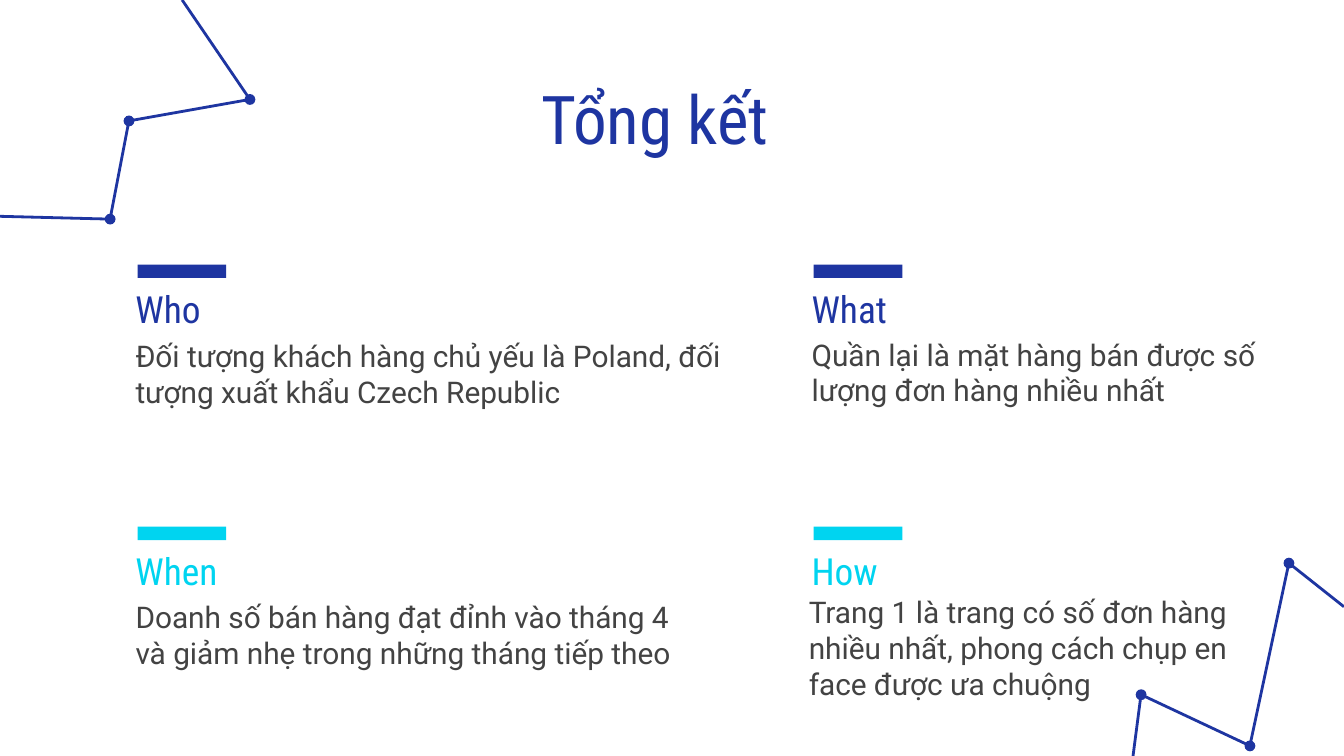
"""Build the "Tổng kết" summary slide with four topics and two line motifs."""
from dataclasses import dataclass

import pptx
import pptx.dml.color
import pptx.enum.shapes
import pptx.enum.text
import pptx.util

Pt = pptx.util.Pt
ALIGN = pptx.enum.text.PP_ALIGN
SHAPE = pptx.enum.shapes.MSO_SHAPE

NAVY = "1E35A1"
CYAN = "00D4F0"
GRAY = "434343"
HEADING_FONT = "Roboto Condensed"
BODY_FONT = "Roboto"
COLUMNS = (65.5, 427.7)
ROWS = (141.8, 282.2)
DOT_SIZE = 5.8


@dataclass
class Topic:
    column: int
    row: int
    color: str
    heading: str
    body: str
    body_left: float
    body_top: float
    body_width: float


TOPICS = (
    Topic(0, 0, NAVY, "Who",
          "Đối tượng khách hàng chủ yếu là Poland, đối tượng xuất khẩu Czech Republic",
          65.5, 178.6, 347),
    Topic(0, 1, CYAN, "When",
          "Doanh số bán hàng đạt đỉnh vào tháng 4 và giảm nhẹ trong những tháng tiếp theo",
          65.5, 318.2, 315.4),
    Topic(1, 0, NAVY, "What",
          "Quần lại là mặt hàng bán được số lượng đơn hàng nhiều nhất",
          427.7, 177.8, 260.6),
    Topic(1, 1, CYAN, "How",
          "Trang 1 là trang có số đơn hàng nhiều nhất, phong cách chụp en face được ưa chuộng",
          426.2, 325.4, 260.6),
)

MOTIFS = (
    ((0, 115.9), (59, 117.4), (69.1, 64.8), (133.9, 53.3), (97.6, 0)),
    ((607, 405), (611.3, 372.2), (669.6, 399.6), (690.5, 301.7), (720, 325.1)),
)


def rgb(color: str) -> pptx.dml.color.RGBColor:
    return pptx.dml.color.RGBColor.from_string(color)


def add_text(shapes, text: str, left: float, top: float, width: float, height: float,
             size: float, font: str, color: str, align=ALIGN.LEFT) -> None:
    box = shapes.add_textbox(Pt(left), Pt(top), Pt(width), Pt(height))
    frame = box.text_frame
    frame.word_wrap = True
    frame.vertical_anchor = pptx.enum.text.MSO_ANCHOR.MIDDLE
    frame.margin_left = frame.margin_right = Pt(7.2)
    frame.margin_top = frame.margin_bottom = Pt(7.2)
    frame.text = text
    para = frame.paragraphs[0]
    para.alignment = align
    span = para.runs[0]
    span.font.size = Pt(size)
    span.font.name = font
    span.font.color.rgb = rgb(color)


def add_solid(shapes, kind, left: float, top: float, width: float, height: float,
              color: str) -> None:
    shape = shapes.add_shape(kind, Pt(left), Pt(top), Pt(width), Pt(height))
    shape.shadow.inherit = False
    shape.fill.solid()
    shape.fill.fore_color.rgb = rgb(color)
    shape.line.fill.background()


def add_topic(page, topic: Topic) -> None:
    shapes = page.shapes.add_group_shape().shapes
    left, top = COLUMNS[topic.column], ROWS[topic.row]
    add_text(shapes, topic.heading, left, top + 13, 139.7, 20.9, 20, HEADING_FONT, topic.color)
    add_text(shapes, topic.body, topic.body_left, topic.body_top, topic.body_width, 43.2,
             16, BODY_FONT, GRAY)
    add_solid(shapes, SHAPE.RECTANGLE, left + 8.2, top, 47.5, 7.2, topic.color)


def add_motif(page, points: tuple) -> None:
    shapes = page.shapes.add_group_shape().shapes
    start, *others = [(Pt(x), Pt(y)) for x, y in points]
    builder = shapes.build_freeform(*start)
    builder.add_line_segments(others, close=False)
    outline = builder.convert_to_shape()
    outline.shadow.inherit = False
    outline.fill.background()
    outline.line.color.rgb = rgb(NAVY)
    outline.line.width = Pt(1.5)
    for x, y in points[1:-1]:
        add_solid(shapes, SHAPE.OVAL, x - DOT_SIZE / 2, y - DOT_SIZE / 2,
                  DOT_SIZE, DOT_SIZE, NAVY)


def main() -> None:
    deck = pptx.Presentation()
    deck.slide_width, deck.slide_height = Pt(720), Pt(405)
    page = deck.slides.add_slide(deck.slide_layouts[6])
    add_text(page.shapes, "Tổng kết", 223.2, 43.9, 255.6, 38.2, 36, HEADING_FONT, NAVY,
             ALIGN.CENTER)
    for topic in TOPICS:
        add_topic(page, topic)
    for points in MOTIFS:
        add_motif(page, points)
    deck.save("out.pptx")


if __name__ == "__main__":
    main()
